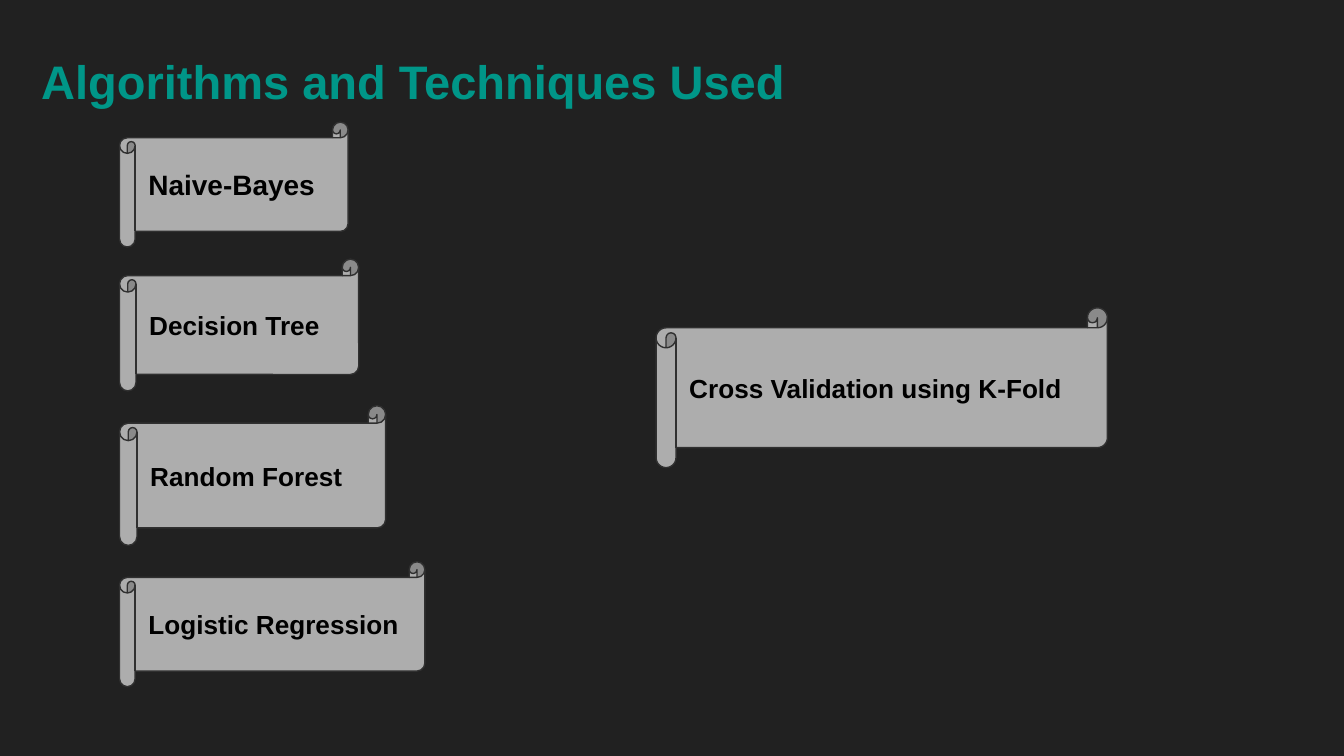
"""Build a slide listing the algorithms and techniques used, each on a scroll."""
from pptx import Presentation
from pptx.dml.color import RGBColor
from pptx.enum.shapes import MSO_SHAPE
from pptx.enum.text import MSO_ANCHOR, PP_ALIGN
from pptx.util import Cm, Pt

HEADING = "Algorithms and Techniques Used"
ALGORITHM_LEFT = 2.26
ALGORITHMS = [
    ("Naive-Bayes", 2.31, 4.32, 2.36, 15),
    ("Decision Tree", 4.9, 4.52, 2.49, 14),
    ("Random Forest", 7.67, 5.03, 2.64, 14),
    ("Logistic Regression", 10.62, 5.77, 2.36, 14),
]
VALIDATION_LEFT = 12.4
VALIDATION = ("Cross Validation using K-Fold", 5.82, 8.53, 3.02, 14)
COLORS = {
    "background": "212121",
    "heading": "009688",
    "scroll": "ADADAD",
    "outline": "303030",
    "label": "000000",
}
INSET = Cm(0.25)


def color(name):
    return RGBColor.from_string(COLORS[name])


def write(shape, words, size, color_name, anchor):
    frame = shape.text_frame
    frame.word_wrap = True
    frame.vertical_anchor = anchor
    frame.margin_left = frame.margin_right = INSET
    frame.margin_top = frame.margin_bottom = INSET
    line = frame.paragraphs[0]
    line.text = words
    line.alignment = PP_ALIGN.LEFT
    line.font.name = "Arial"
    line.font.size = Pt(size)
    line.font.bold = True
    line.font.color.rgb = color(color_name)


def add_scroll(slide, left, label, top, width, height, size):
    scroll = slide.shapes.add_shape(
        MSO_SHAPE.HORIZONTAL_SCROLL, Cm(left), Cm(top), Cm(width), Cm(height)
    )
    scroll.shadow.inherit = False
    scroll.fill.solid()
    scroll.fill.fore_color.rgb = color("scroll")
    scroll.line.color.rgb = color("outline")
    scroll.line.width = Pt(0.75)
    write(scroll, label, size, "label", MSO_ANCHOR.MIDDLE)


def main():
    deck = Presentation()
    deck.slide_width, deck.slide_height = Cm(25.4), Cm(14.29)
    slide = deck.slides.add_slide(deck.slide_layouts[6])
    slide.background.fill.solid()
    slide.background.fill.fore_color.rgb = color("background")

    heading = slide.shapes.add_textbox(Cm(0.53), Cm(0.71), Cm(23.67), Cm(1.6))
    write(heading, HEADING, 25.2, "heading", MSO_ANCHOR.BOTTOM)

    for algorithm in ALGORITHMS:
        add_scroll(slide, ALGORITHM_LEFT, *algorithm)
    add_scroll(slide, VALIDATION_LEFT, *VALIDATION)

    deck.save("out.pptx")


if __name__ == "__main__":
    main()
